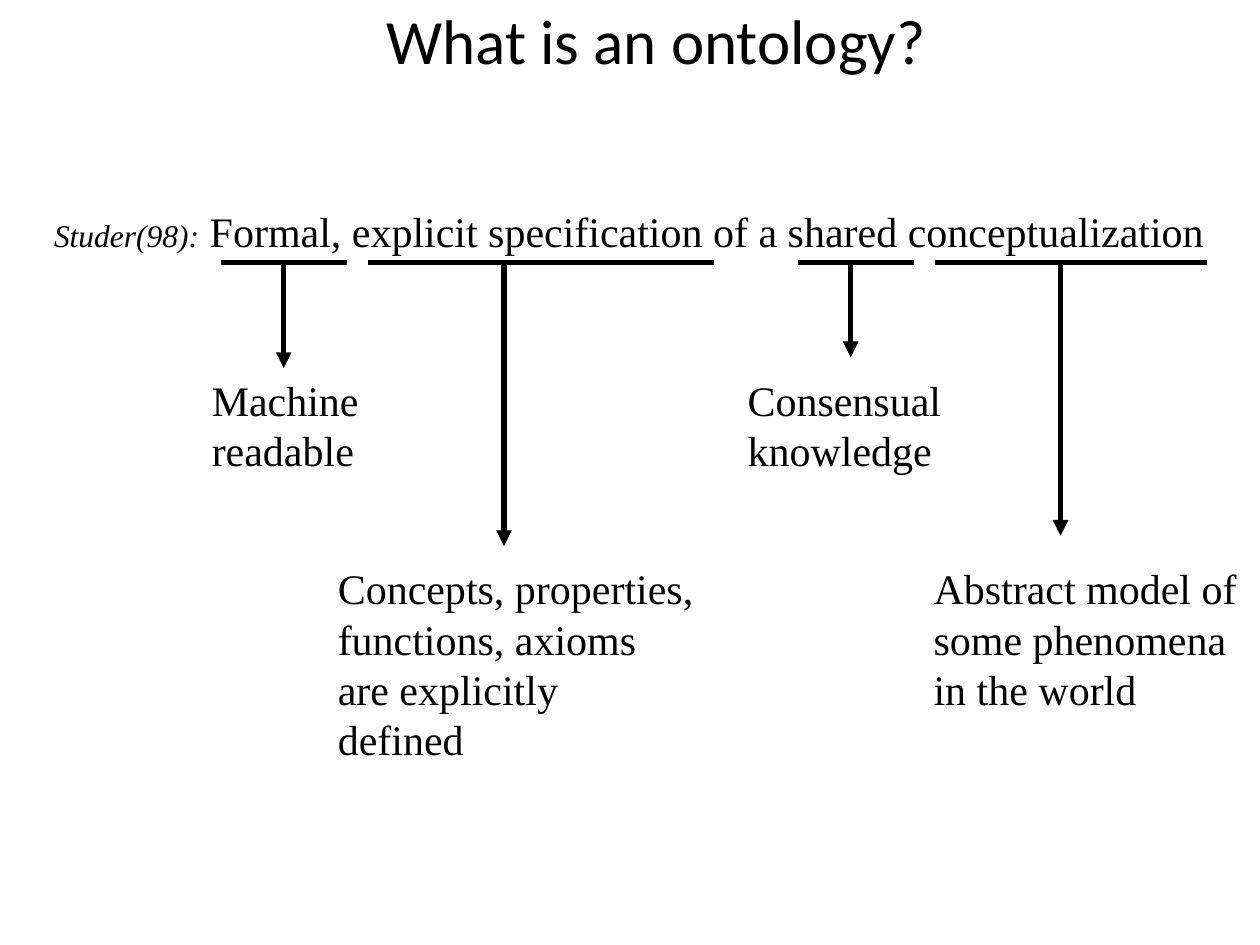
import pptx
import pptx.dml.color
import pptx.enum.shapes
import pptx.oxml
import pptx.oxml.ns
import pptx.util
from dataclasses import dataclass

Cm = pptx.util.Cm
Pt = pptx.util.Pt


@dataclass(frozen=True)
class Theme:
    ink = pptx.dml.color.RGBColor(0, 0, 0)
    title_font = "Calibri"
    body_font = "Times New Roman"
    title_size = Pt(36)
    body_size = Pt(24)
    source_size = Pt(18)
    line_width = Pt(3)


theme = Theme()


def add_text(shapes, x, y, w, h, lines, font=theme.body_font, size=theme.body_size):
    sp = shapes.add_textbox(Cm(x), Cm(y), Cm(w), Cm(h))
    tf = sp.text_frame
    tf.word_wrap = True
    tf.text = "\n".join(lines)
    for p, line in zip(tf.paragraphs, lines):
        p.text = line
        for r in p.runs:
            r.font.name = font
            r.font.size = size
            r.font.color.rgb = theme.ink
    return tf


def add_line(shapes, x1, y1, x2, y2, arrow=False):
    line = shapes.add_connector(
        pptx.enum.shapes.MSO_CONNECTOR.STRAIGHT, Cm(x1), Cm(y1), Cm(x2), Cm(y2))
    line.line.color.rgb = theme.ink
    line.line.width = theme.line_width
    if arrow:
        tail = pptx.oxml.parse_xml(
            f'<a:tailEnd {pptx.oxml.ns.nsdecls("a")} type="triangle"/>')
        line.line._get_or_add_ln().append(tail)
    effects = pptx.oxml.parse_xml(f'<a:effectLst {pptx.oxml.ns.nsdecls("a")}/>')
    line._element.spPr.append(effects)


prs = pptx.Presentation()
prs.slide_width = Cm(25.4)
prs.slide_height = Cm(19.05)
s = prs.slides.add_slide(prs.slide_layouts[6])

tf = add_text(s.shapes, 0.84, 4.02, 23.88, 1.27, ["Studer(98):"])
p = tf.paragraphs[0]
p.runs[0].font.size = theme.source_size
p.runs[0].font.italic = True
r = p.add_run()
r.text = " Formal, explicit specification of a shared conceptualization"
r.font.name = theme.body_font
r.font.size = theme.body_size
r.font.color.rgb = theme.ink

underline_y = 5.29
upper_y, upper_h = 7.42, 2.29
lower_y, lower_h = 11.22, 3.3
terms = [
    (4.45, 6.99, 5.72, 7.42, (4.02, upper_y, 3.68, upper_h), ["Machine", "readable"]),
    (7.42, 14.39, 10.16, 11.01, (6.56, lower_y, 7.8, lower_h),
     ["Concepts, properties,", "functions, axioms", "are explicitly\vdefined"]),
    (16.09, 18.42, 17.15, 7.2, (14.82, upper_y, 4.6, upper_h),
     ["Consensual", "knowledge"]),
    (18.84, 24.34, 21.38, 10.8, (18.57, lower_y, 6.83, lower_h),
     ["Abstract model of", "some phenomena", "in the world"]),
]
for left, right, arrow_x, arrow_end, box, lines in terms:
    group = s.shapes.add_group_shape()
    add_line(group.shapes, left, underline_y, right, underline_y)
    add_line(group.shapes, arrow_x, underline_y, arrow_x, arrow_end, arrow=True)
    add_text(group.shapes, *box, lines)

add_text(s.shapes, 7.54, -0.1, 12.37, 1.78, ["What is an ontology?"],
         theme.title_font, theme.title_size)

prs.save("out.pptx")
